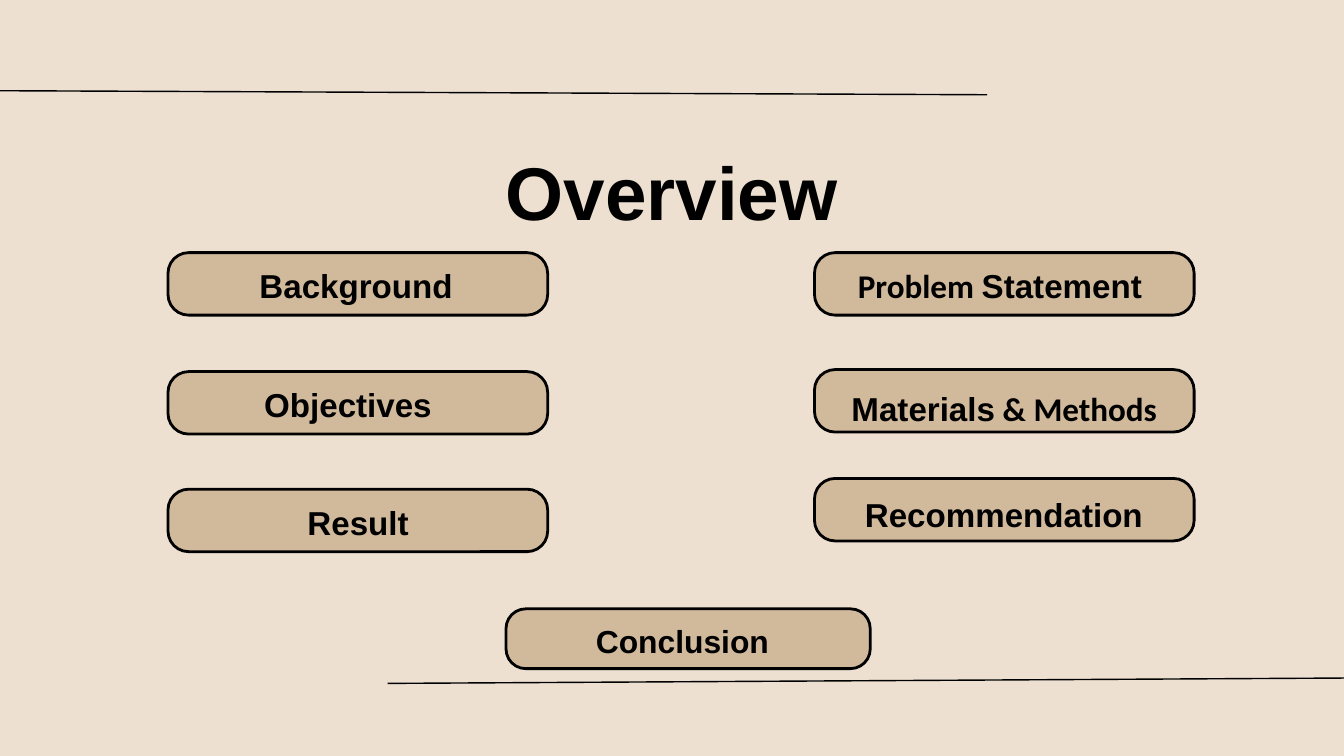
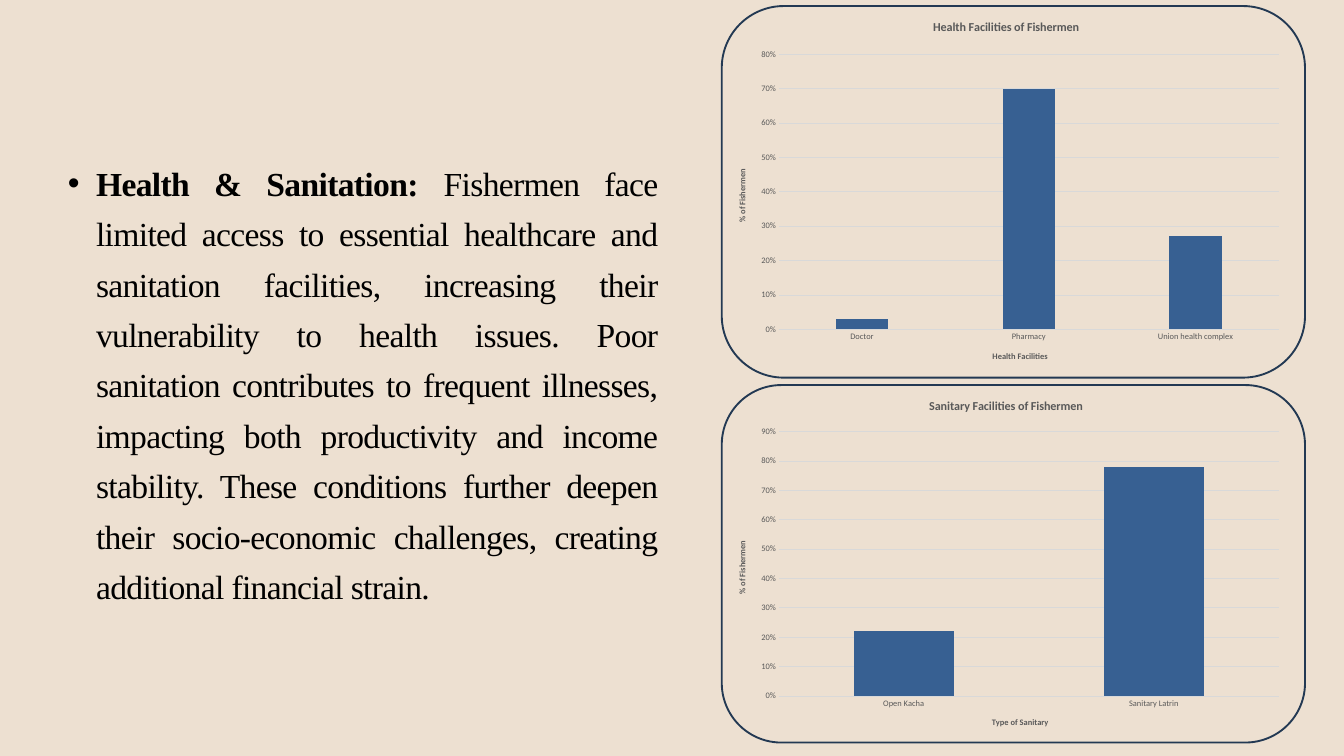
from lxml.etree import SubElement
from pptx import Presentation
from pptx.chart.data import CategoryChartData
from pptx.dml.color import RGBColor
from pptx.enum.chart import XL_CHART_TYPE, XL_TICK_MARK
from pptx.enum.shapes import MSO_CONNECTOR, MSO_SHAPE
from pptx.enum.text import MSO_AUTO_SIZE, PP_ALIGN
from pptx.oxml import parse_xml
from pptx.oxml.ns import nsdecls, qn
from pptx.util import Pt

PX = 9144  # 100 px to the inch
SAND = RGBColor(0xED, 0xE0, 0xD1)
TAN = RGBColor(0xD1, 0xB9, 0x9C)
BLACK = RGBColor(0, 0, 0)
NAVY = RGBColor(0x23, 0x39, 0x53)
BLUE = RGBColor(0x37, 0x60, 0x92)
GREY = RGBColor(0x59, 0x59, 0x59)
PALE = RGBColor(0xD9, 0xD9, 0xD9)
ARIAL, CALIBRI, TIMES = "Arial", "Calibri", "Times New Roman"

LEFT, RIGHT = 250, 1212
WIDE = (565, 93)
# Button box, label box, label runs
TOPICS = [
    ((LEFT, 376, *WIDE), (365, 385, 330, 66), [("Background", ARIAL)]),
    ((LEFT, 553, *WIDE), (283, 562, 470, 66), [("Objectives", ARIAL)]),
    ((LEFT, 728, *WIDE), (401, 737, 264, 66), [("Result", ARIAL)]),
    ((RIGHT, 376, *WIDE), (1241, 385, 494, 64),
     [("Problem ", CALIBRI), ("Statement", ARIAL)]),
    ((RIGHT, 550, *WIDE), (1237, 568, 515, 64),
     [("Materials", ARIAL), (" & Methods", CALIBRI)]),
    ((RIGHT, 712, *WIDE), (1269, 726, 450, 64), [("Recommendation", ARIAL)]),
    ((753, 906, 542, 89), (790, 916, 451, 61), [("Conclusion", ARIAL)]),
]
HEALTH = ("Health & Sanitation:", " Fishermen face limited access to essential "
          "healthcare and sanitation facilities, increasing their vulnerability to "
          "health issues. Poor sanitation contributes to frequent illnesses, "
          "impacting both productivity and income stability. These conditions "
          "further deepen their socio-economic challenges, creating additional "
          "financial strain.")


def emu(*sizes):
    return [size * PX for size in sizes]


def style(font, size, color, name, bold=False):
    font.size, font.name, font.bold = Pt(size), name, bold
    font.color.rgb = color


def add_page(deck):
    page = deck.slides.add_slide(deck.slide_layouts[6])
    page.background.fill.solid()
    page.background.fill.fore_color.rgb = SAND
    return page


def add_text(page, box, runs, size, pitch, align=PP_ALIGN.CENTER):
    """Runs are (text, font name, bold); pitch is the line height in points."""
    frame = page.shapes.add_textbox(*emu(*box)).text_frame
    frame.word_wrap = True
    frame.auto_size = MSO_AUTO_SIZE.SHAPE_TO_FIT_TEXT
    frame.margin_left = frame.margin_right = 0
    frame.margin_top = frame.margin_bottom = 0
    para = frame.paragraphs[0]
    para.alignment, para.line_spacing = align, Pt(pitch)
    for text, name, bold in runs:
        run = para.add_run()
        run.text = text
        style(run.font, size, BLACK, name, bold)
    return para


def add_round(page, box, color, width, fill=None):
    shape = page.shapes.add_shape(MSO_SHAPE.ROUNDED_RECTANGLE, *emu(*box))
    shape.shadow.inherit = False
    shape.line.color.rgb, shape.line.width = color, Pt(width)
    if fill is None:
        shape.fill.background()
    else:
        shape.fill.solid()
        shape.fill.fore_color.rgb = fill
    return shape


def add_rule(page, *ends):
    rule = page.shapes.add_connector(MSO_CONNECTOR.STRAIGHT, *emu(*ends))
    rule.line.color.rgb, rule.line.width = BLACK, Pt(1.5)
    SubElement(rule._element.spPr, qn("a:effectLst"))


def add_topic(page, box, label, runs):
    button = add_round(page, box, BLACK, 3, TAN)
    button.adjustments[0] = 0.33
    size, pitch = (35.5, 49.7) if box[2:] == WIDE else (34.1, 47.7)
    add_text(page, label, [(text, name, True) for text, name in runs], size, pitch)


def add_overview(deck):
    page = add_page(deck)
    add_text(page, (532, 188, 935, 153), [("Overview", ARIAL, True)], 80, 116.5)
    add_rule(page, 0, 135, 1469, 141)
    add_rule(page, 577, 1017, 2000, 1009)
    for topic in TOPICS:
        add_topic(page, *topic)


def add_story(page, box):
    head, body = HEALTH
    para = add_text(page, box, [(head, TIMES, True), (body, TIMES, False)],
                    36, 54, PP_ALIGN.JUSTIFY)
    props = para._p.get_or_add_pPr()
    props.set("marL", str(85 * PX // 2))
    props.set("indent", str(-42 * PX))
    props.set("marL", str(42 * PX))
    SubElement(props, qn("a:buFont")).set("typeface", ARIAL)
    SubElement(props, qn("a:buChar")).set("char", "•")
    for run in para.runs:
        run._r.get_or_add_rPr().set("spc", "-70")


def set_title(title, text, size):
    title.text_frame.text = text
    style(title.text_frame.paragraphs[0].runs[0].font, size, GREY, CALIBRI, True)


def set_axis(axis, title):
    set_title(axis.axis_title, title, 9)
    style(axis.tick_labels.font, 9, GREY, CALIBRI)
    axis.major_tick_mark = axis.minor_tick_mark = XL_TICK_MARK.NONE


def set_plot(chart):
    """Fixes the inner plot area as shares of the chart box."""
    area = chart._chartSpace.chart.plotArea
    for old in area.findall(qn("c:layout")):
        area.remove(old)
    sides = "".join(f'<c:{key} val="{val}"/>' for key, val in [
        ("layoutTarget", "inner"), ("xMode", "edge"), ("yMode", "edge"),
        ("x", 0.1), ("y", 0.13), ("w", 0.88), ("h", 0.74)])
    area.insert(0, parse_xml(f'<c:layout {nsdecls("c")}><c:manualLayout>{sides}'
                             '</c:manualLayout></c:layout>'))


def add_panel(page, box, kind, title, label, values, top, gap, overlap):
    """Bar chart in a rounded frame; values maps each category to its share."""
    left, high, width, height = box
    data = CategoryChartData(number_format="0%")
    data.categories = list(values)
    data.add_series("Series 1", list(values.values()))
    chart = page.shapes.add_chart(
        kind, *emu(left, high, width - 22, height), data).chart
    style(chart.font, 10, BLACK, CALIBRI)
    chart.has_legend = False
    chart.has_title = True
    set_title(chart.chart_title, title, 13)
    chart.chart_title.include_in_layout = False

    cat, val = chart.category_axis, chart.value_axis
    set_axis(cat, label)
    set_axis(val, "% of Fishermen")
    turn = val.axis_title.text_frame._txBody.bodyPr
    turn.set("rot", "-5400000")
    turn.set("vert", "horz")
    val.minimum_scale, val.maximum_scale, val.major_unit = 0, top, 0.1
    val.tick_labels.number_format = "0%"
    val.tick_labels.number_format_is_linked = False
    val.format.line.fill.background()
    for line in (cat.format.line, val.major_gridlines.format.line):
        line.color.rgb, line.width = PALE, Pt(0.75)

    plot = chart.plots[0]
    plot.gap_width, plot.overlap, plot.vary_by_categories = gap, overlap, False
    fill = plot.series[0].format.fill
    fill.solid()
    fill.fore_color.rgb = BLUE
    set_plot(chart)
    add_round(page, box, NAVY, 2)


def add_health(deck):
    page = add_page(deck)
    add_story(page, (101, 227, 878, 671))
    add_panel(page, (1074, 9, 868, 553), XL_CHART_TYPE.COLUMN_CLUSTERED,
              "Health Facilities of Fishermen", "Health Facilities",
              {"Doctor": 0.03, "Pharmacy": 0.7, "Union health complex": 0.27},
              0.8, 219, -27)
    add_panel(page, (1074, 573, 868, 532), XL_CHART_TYPE.COLUMN_STACKED,
              "Sanitary Facilities of Fishermen", "Type of Sanitary",
              {"Open Kacha": 0.22, "Sanitary Latrin": 0.78}, 0.9, 150, 100)


def main():
    deck = Presentation()
    deck.slide_width, deck.slide_height = emu(2000, 1125)
    add_overview(deck)
    add_health(deck)
    deck.save("out.pptx")


if __name__ == "__main__":
    main()
